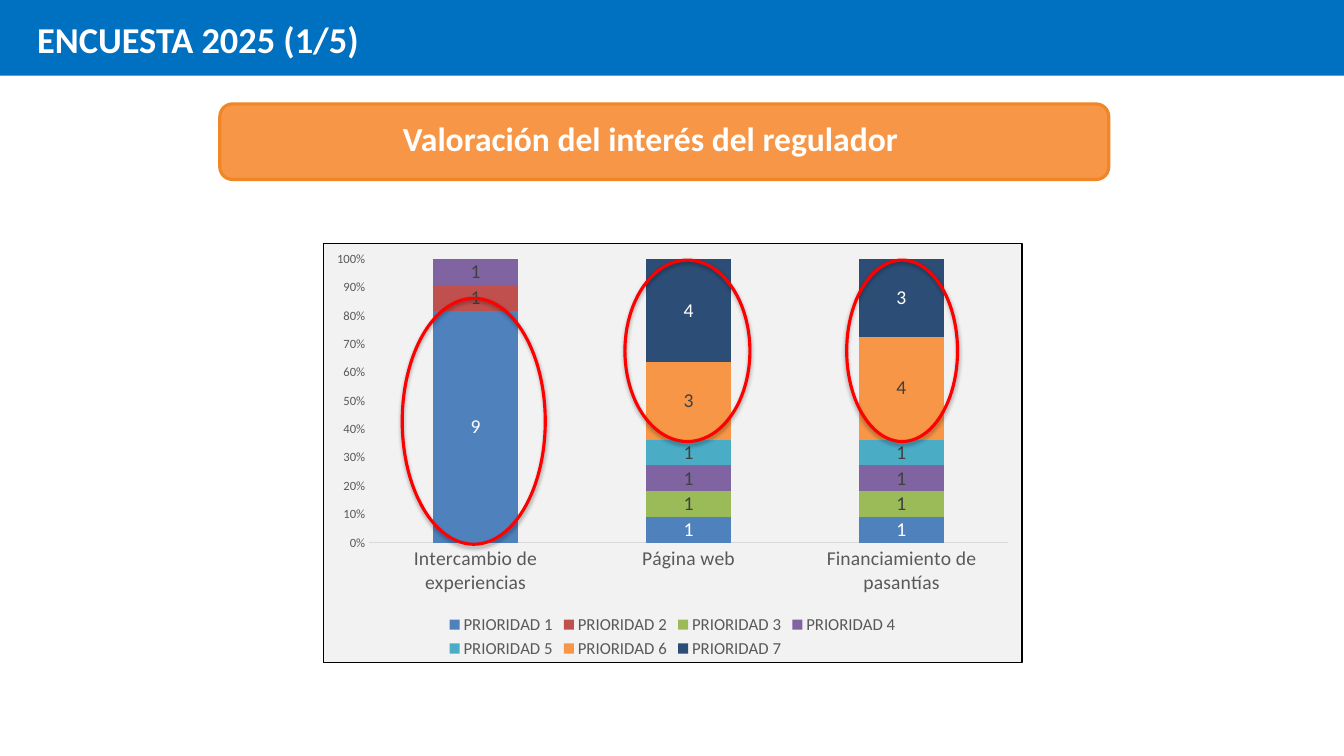
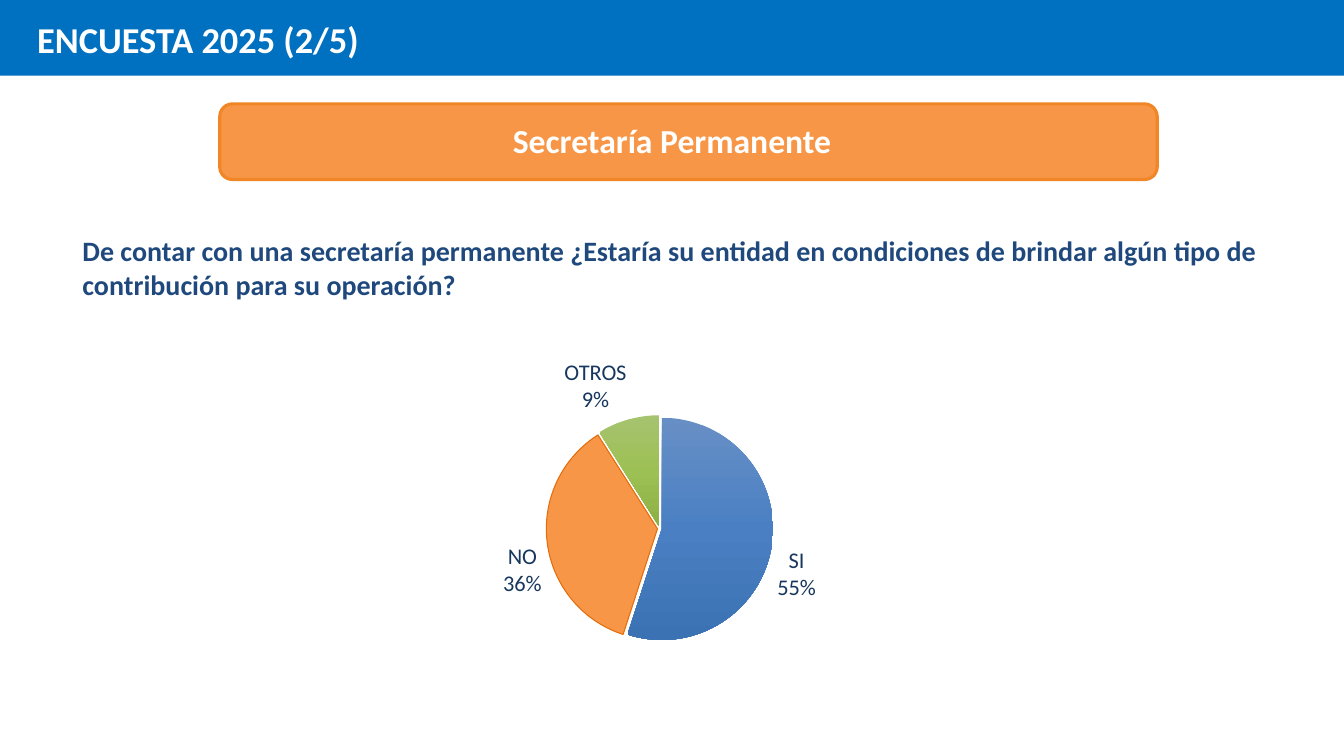
from pptx import Presentation
from pptx.chart.data import CategoryChartData
from pptx.dml.color import RGBColor
from pptx.enum.chart import XL_CHART_TYPE, XL_LABEL_POSITION, XL_LEGEND_POSITION, XL_TICK_MARK
from pptx.enum.shapes import MSO_SHAPE
from pptx.enum.text import MSO_AUTO_SIZE, PP_ALIGN
from pptx.oxml import parse_xml
from pptx.oxml.ns import nsdecls, qn
from pptx.util import Pt

STACKED = XL_CHART_TYPE.COLUMN_STACKED_100
PIE = XL_CHART_TYPE.PIE
LABEL_CENTER = XL_LABEL_POSITION.CENTER
LABEL_OUTSIDE = XL_LABEL_POSITION.OUTSIDE_END
LEGEND_BOTTOM = XL_LEGEND_POSITION.BOTTOM
NO_TICK = XL_TICK_MARK.NONE
RECTANGLE = MSO_SHAPE.RECTANGLE
ROUNDED = MSO_SHAPE.ROUNDED_RECTANGLE
OVAL = MSO_SHAPE.OVAL
GROW = MSO_AUTO_SIZE.SHAPE_TO_FIT_TEXT
LEFT = PP_ALIGN.LEFT
CENTER = PP_ALIGN.CENTER

WHITE = RGBColor(0xFF, 0xFF, 0xFF)
BLACK = RGBColor(0x00, 0x00, 0x00)
BAND_BLUE = RGBColor(0x00, 0x70, 0xC0)
ORANGE = RGBColor(0xF7, 0x96, 0x46)
ORANGE_EDGE = RGBColor(0xF1, 0x86, 0x26)
SLICE_EDGE = RGBColor(0xE4, 0x6C, 0x0A)
RED = RGBColor(0xFF, 0x00, 0x00)
QUESTION_BLUE = RGBColor(0x1F, 0x49, 0x7D)
LABEL_BLUE = RGBColor(0x17, 0x37, 0x5E)
GRAY = RGBColor(0x59, 0x59, 0x59)
DARK_GRAY = RGBColor(0x40, 0x40, 0x40)
AXIS_GRAY = RGBColor(0xD9, 0xD9, 0xD9)
PANEL_GRAY = RGBColor(0xF2, 0xF2, 0xF2)
BLUE = RGBColor(0x4F, 0x81, 0xBD)
BRICK = RGBColor(0xC0, 0x50, 0x4D)
GREEN = RGBColor(0x9B, 0xBB, 0x59)
PURPLE = RGBColor(0x80, 0x64, 0xA2)
TEAL = RGBColor(0x4B, 0xAC, 0xC6)
NAVY = RGBColor(0x2C, 0x4D, 0x75)
BLUE_STOPS = (RGBColor(0x68, 0x8F, 0xC5), RGBColor(0x4A, 0x80, 0xC3), RGBColor(0x3B, 0x72, 0xB3))
GREEN_STOPS = (RGBColor(0xA6, 0xC3, 0x6F), RGBColor(0x9D, 0xC0, 0x54), RGBColor(0x8D, 0xB0, 0x45))

FONT = "Calibri"
TITLE_FORMAT = {"size": Pt(26), "color": WHITE, "bold": True}
HEADING_FORMAT = {"size": Pt(24), "color": WHITE, "bold": True}
QUESTION_FORMAT = {"size": Pt(20), "color": QUESTION_BLUE, "bold": True}

QUESTION = (
    "De contar con una secretaría permanente ¿Estaría su entidad en condiciones "
    "de brindar algún tipo de contribución para su operación?"
)
SURVEY_SLIDES = [
    {
        "title": "ENCUESTA 2025 (1/5)",
        "heading": "Valoración del interés del regulador",
        "heading_box": (36.7, 80.6, 856, 36),
        "pill_width": 635,
    },
    {
        "title": "ENCUESTA 2025 (2/5)",
        "heading": "Secretaría Permanente",
        "heading_box": (0, 82, 960, 36),
        "pill_width": 669.6,
    },
]
TOPICS = ["Intercambio de experiencias", "Página web", "Financiamiento de pasantías"]
PRIORITIES = [
    ((9, 1, 1), BLUE, WHITE),
    ((1, None, None), BRICK, DARK_GRAY),
    ((None, 1, 1), GREEN, DARK_GRAY),
    ((1, 1, 1), PURPLE, DARK_GRAY),
    ((None, 1, 1), TEAL, DARK_GRAY),
    ((None, 3, 4), ORANGE, DARK_GRAY),
    ((None, 4, 3), NAVY, WHITE),
]
HIGHLIGHTS = [
    (287.3, 213.1, 102.2, 175.7),
    (446.4, 185.8, 89.3, 129.6),
    (604.8, 185.8, 79.2, 129.6),
]
ANSWERS = [("SI", 55, BLUE_STOPS), ("NO", 36, (ORANGE,)), ("OTROS", 9, GREEN_STOPS)]
PIE_LAYOUT = {"x": 0.03, "y": 0.24, "w": 0.94, "h": 0.54}


def points(box):
    return [Pt(value) for value in box]


def style_font(font, values):
    font.name = FONT
    for name, value in values.items():
        if name == "color":
            font.color.rgb = value
        else:
            setattr(font, name, value)


def add_text(slide, box, text, values, alignment=LEFT):
    frame = slide.shapes.add_textbox(*points(box)).text_frame
    frame.word_wrap = True
    frame.auto_size = GROW
    paragraph = frame.paragraphs[0]
    paragraph.alignment = alignment
    run = paragraph.add_run()
    run.text = text
    style_font(run.font, values)


def add_figure(slide, kind, box, fill=None, line=None):
    shape = slide.shapes.add_shape(kind, *points(box))
    shape.shadow.inherit = False
    if fill is None:
        shape.fill.background()
    else:
        shape.fill.solid()
        shape.fill.fore_color.rgb = fill
    if line is None:
        shape.line.fill.background()
    else:
        shape.line.color.rgb = line
        shape.line.width = Pt(2.25)
    return shape


def add_highlight(slide, box):
    shape = add_figure(slide, OVAL, box, line=RED)
    effects = shape._element.spPr.find(qn("a:effectLst"))
    effects.append(parse_xml(
        f'<a:outerShdw {nsdecls("a")} blurRad="{Pt(3.1)}" dist="{Pt(1.8)}" dir="5400000" '
        'rotWithShape="0"><a:srgbClr val="000000"><a:alpha val="35000"/></a:srgbClr></a:outerShdw>'
    ))


def add_survey_slide(presentation, content):
    slide = presentation.slides.add_slide(presentation.slide_layouts[6])
    add_figure(slide, ROUNDED, (157, 74.2, content["pill_width"], 54), ORANGE, ORANGE_EDGE)
    add_figure(slide, RECTANGLE, (-3, 0, 963, 54), BAND_BLUE)
    add_text(slide, (19.4, 8.6, 325, 39), content["title"], TITLE_FORMAT)
    add_text(slide, content["heading_box"], content["heading"], HEADING_FORMAT, CENTER)
    return slide


def add_chart(slide, kind, box, data):
    chart = slide.shapes.add_chart(kind, *points(box), data).chart
    chart.has_title = False
    chart.has_legend = False
    style_font(chart.font, {"size": Pt(10), "color": BLACK})
    return chart


def add_priority_chart(slide):
    data = CategoryChartData()
    data.categories = TOPICS
    for number, (values, _, _) in enumerate(PRIORITIES, 1):
        data.add_series(f"PRIORIDAD {number}", values)
    chart = add_chart(slide, STACKED, (230.4, 173.6, 500, 300), data)
    chart._chartSpace.find(qn("c:chart")).addnext(parse_xml(
        f'<c:spPr {nsdecls("c", "a")}><a:solidFill><a:srgbClr val="{PANEL_GRAY}"/></a:solidFill>'
        f'<a:ln w="{Pt(0.75)}"><a:solidFill><a:srgbClr val="{BLACK}"/></a:solidFill></a:ln></c:spPr>'
    ))
    plot = chart.plots[0]
    plot.vary_by_categories = False
    plot.gap_width = 150
    plot.overlap = 100
    for series, (_, fill, label_color) in zip(plot.series, PRIORITIES):
        series.format.fill.solid()
        series.format.fill.fore_color.rgb = fill
        labels = series.data_labels
        labels.show_value = True
        labels.position = LABEL_CENTER
        style_font(labels.font, {"size": Pt(14), "color": label_color})
    for axis, size in ((chart.category_axis, 14), (chart.value_axis, 9)):
        axis.major_tick_mark = NO_TICK
        axis.minor_tick_mark = NO_TICK
        axis.has_major_gridlines = False
        style_font(axis.tick_labels.font, {"size": Pt(size), "color": GRAY})
    chart.category_axis.format.line.color.rgb = AXIS_GRAY
    chart.category_axis.format.line.width = Pt(0.75)
    chart.value_axis.format.line.fill.background()
    chart.value_axis.tick_labels.number_format = "0%"
    chart.value_axis.tick_labels.number_format_is_linked = False
    chart.has_legend = True
    chart.legend.position = LEGEND_BOTTOM
    chart.legend.include_in_layout = False
    style_font(chart.legend.font, {"size": Pt(12), "color": GRAY})


def set_plot_layout(chart, layout):
    plot_area = chart._chartSpace.find(qn("c:chart")).find(qn("c:plotArea"))
    for element in plot_area.findall(qn("c:layout")):
        plot_area.remove(element)
    modes = "".join(f'<c:{side}Mode val="edge"/>' for side in "xy")
    sizes = "".join(f'<c:{side} val="{value}"/>' for side, value in layout.items())
    plot_area.insert(0, parse_xml(
        f'<c:layout {nsdecls("c")}><c:manualLayout><c:layoutTarget val="inner"/>'
        f"{modes}{sizes}</c:manualLayout></c:layout>"
    ))


def fill_slice(series, index, colors):
    if len(colors) == 1:
        slice_format = series.points[index].format
        slice_format.fill.solid()
        slice_format.fill.fore_color.rgb = colors[0]
        slice_format.line.color.rgb = SLICE_EDGE
        slice_format.line.width = Pt(0.75)
        return
    step = 100000 // (len(colors) - 1)
    stops = "".join(
        f'<a:gs pos="{position * step}"><a:srgbClr val="{color}"/></a:gs>'
        for position, color in enumerate(colors)
    )
    data_point = series._element.get_or_add_dPt_for_point(index)
    data_point.get_or_add_spPr().append(parse_xml(
        f'<a:gradFill {nsdecls("a")} rotWithShape="1"><a:gsLst>{stops}</a:gsLst>'
        '<a:lin ang="5400000" scaled="0"/></a:gradFill>'
    ))


def add_answer_chart(slide):
    data = CategoryChartData()
    data.categories = [name for name, _, _ in ANSWERS]
    data.add_series("Series 1", [value for _, value, _ in ANSWERS])
    chart = add_chart(slide, PIE, (230.4, 224.6, 481.7, 300), data)
    set_plot_layout(chart, PIE_LAYOUT)
    plot = chart.plots[0]
    plot.vary_by_categories = True
    series = plot.series[0]
    series._element.find(qn("c:tx")).addnext(parse_xml(f'<c:explosion {nsdecls("c")} val="2"/>'))
    for index, (_, _, colors) in enumerate(ANSWERS):
        fill_slice(series, index, colors)
    labels = series.data_labels
    label_values = {
        "show_value": False,
        "show_category_name": True,
        "show_percentage": True,
        "number_format": "0%",
        "number_format_is_linked": False,
        "position": LABEL_OUTSIDE,
    }
    for name, value in label_values.items():
        setattr(labels, name, value)
    style_font(labels.font, {"size": Pt(16), "color": LABEL_BLUE})
    labels._element.find(qn("c:showBubbleSize")).addnext(
        parse_xml(f'<c:separator {nsdecls("c")}>\n</c:separator>')
    )


def main():
    presentation = Presentation()
    presentation.slide_width = Pt(960)
    presentation.slide_height = Pt(540)
    interest_slide, secretariat_slide = [
        add_survey_slide(presentation, content) for content in SURVEY_SLIDES
    ]
    add_priority_chart(interest_slide)
    for box in HIGHLIGHTS:
        add_highlight(interest_slide, box)
    add_text(secretariat_slide, (51.8, 163.4, 880, 55.4), QUESTION, QUESTION_FORMAT)
    add_answer_chart(secretariat_slide)
    presentation.save("out.pptx")


if __name__ == "__main__":
    main()
